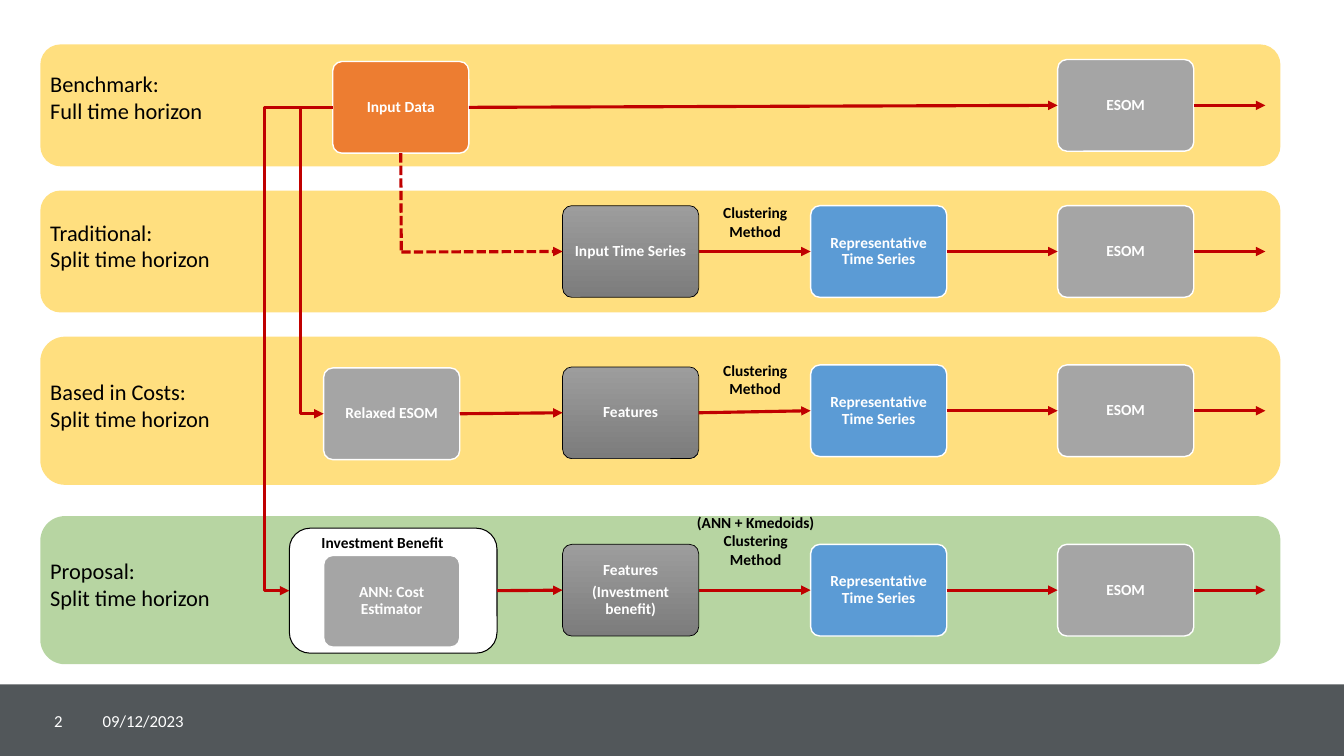
"""Build a slide comparing four ways to handle the time horizon of an ESOM."""
import pptx
import pptx.util
import pptx.dml.color
import pptx.enum.dml
import pptx.enum.shapes
import pptx.enum.text
import pptx.oxml.ns
import lxml.etree

Inches, Pt = pptx.util.Inches, pptx.util.Pt
SHAPE = pptx.enum.shapes.MSO_SHAPE
CONNECTOR = pptx.enum.shapes.MSO_CONNECTOR
ALIGN = pptx.enum.text.PP_ALIGN
ANCHOR = pptx.enum.text.MSO_ANCHOR
qn = pptx.oxml.ns.qn


def paint(fill, color):
    """Give a shape, line or font fill one solid colour."""
    fill.solid()
    fill.fore_color.rgb = pptx.dml.color.RGBColor.from_string(color)


def write(box, lines, size, color, bold=False, align=ALIGN.LEFT, anchor=ANCHOR.TOP,
          margins=(0.1, 0.05), spacing=1.0, after=0):
    """Fill a shape with formatted paragraphs."""
    side, edge = map(Inches, margins)
    frame = box.text_frame
    frame_format = {"word_wrap": True, "vertical_anchor": anchor, "margin_left": side,
                    "margin_right": side, "margin_top": edge, "margin_bottom": edge}
    for name, value in frame_format.items():
        setattr(frame, name, value)
    for index, line in enumerate(lines):
        para = frame.add_paragraph() if index else frame.paragraphs[0]
        para_format = {"alignment": align, "line_spacing": spacing, "space_after": Pt(after)}
        for name, value in para_format.items():
            setattr(para, name, value)
        span = para.add_run()
        span.text = line
        for name, value in {"name": "Calibri", "size": Pt(size), "bold": bold}.items():
            setattr(span.font, name, value)
        paint(span.font.fill, color)


deck = pptx.Presentation()
deck.slide_width, deck.slide_height = Inches(13.33), Inches(7.5)
page = deck.slides.add_slide(deck.slide_layouts[6])
shapes = page.shapes

footer = shapes.add_shape(SHAPE.RECTANGLE, 0, Inches(6.79), deck.slide_width, Inches(0.71))
footer.shadow.inherit = False
paint(footer.fill, "52575A")
footer.line.fill.background()
for left, width, text, align in [(0.92, 1.06, "09/12/2023", ALIGN.LEFT),
                                 (0.19, 0.53, "2", ALIGN.RIGHT)]:
    box = shapes.add_textbox(Inches(left), Inches(6.95), Inches(width), Inches(0.4))
    write(box, [text], 12, "FFFFFF", align=align, anchor=ANCHOR.MIDDLE)

bands = [
    (0.44, 1.21, "FFC000", 0.65, "Benchmark:", "Full time horizon"),
    (1.89, 1.21, "FFC000", 2.12, "Traditional:", "Split time horizon"),
    (3.34, 1.47, "FFC000", 3.7, "Based in Costs:", "Split time horizon"),
    (5.12, 1.47, "70AD47", 5.48, "Proposal:", "Split time horizon"),
]
for top, height, color, label_top, *label in bands:
    band = shapes.add_shape(SHAPE.ROUNDED_RECTANGLE, Inches(0.4), Inches(top),
                            Inches(12.3), Inches(height))
    band.shadow.inherit = False
    paint(band.fill, color)
    band.line.fill.background()
    tint = band.fill._xPr.find(".//" + qn("a:srgbClr"))
    lxml.etree.SubElement(tint, qn("a:alpha"), val="50000")
    box = shapes.add_textbox(Inches(0.4), Inches(label_top), Inches(1.96), Inches(0.64))
    write(box, label, 16, "000000")

benefit = shapes.add_shape(SHAPE.ROUNDED_RECTANGLE, Inches(2.87), Inches(5.24),
                           Inches(2.06), Inches(1.24))
benefit.shadow.inherit = False
paint(benefit.fill, "FFFFFF")
paint(benefit.line.fill, "000000")
benefit.line.width = Pt(0.75)

GREY, BLUE, ORANGE, GRADIENT = "A5A5A5", "5B9BD5", "ED7D31", ("9D9D9D", "7C7C7C")
steps = [
    ("input", 3.3, 0.61, ORANGE, ["Input Data"]),
    ("relaxed", 3.21, 3.65, GREY, ["Relaxed ESOM"]),
    ("estimator", 3.21, 5.51, GREY, ["ANN: Cost Estimator"]),
    ("features 1", 5.58, 2.04, GRADIENT, ["Input Time Series"]),
    ("features 2", 5.58, 3.64, GRADIENT, ["Features"]),
    ("features 3", 5.58, 5.4, GRADIENT, ["Features", "(Investment benefit)"]),
]
for row, top in enumerate([0.59, 2.04, 3.62, 5.4]):
    steps.append((f"esom {row}", 10.49, top, GREY, ["ESOM"]))
    if row:
        steps.append((f"series {row}", 8.04, top, BLUE, ["Representative Time Series"]))

boxes = {"benefit": benefit}
for name, left, top, color, lines in steps:
    box = shapes.add_shape(SHAPE.ROUNDED_RECTANGLE, Inches(left), Inches(top),
                           Inches(1.35), Inches(0.91))
    box.shadow.inherit = False
    box.adjustments[0] = 0.1
    if color == GRADIENT:
        box.fill.gradient()
        box.fill.gradient_angle = 270
        for stop, shade in zip(box.fill.gradient_stops, color):
            stop.color.rgb = pptx.dml.color.RGBColor.from_string(shade)
    else:
        paint(box.fill, color)
    paint(box.line.fill, "000000" if color == GRADIENT else "FFFFFF")
    box.line.width = Pt(0.5 if color == GRADIENT else 1)
    write(box, lines, 11, "FFFFFF", True, ALIGN.CENTER, ANCHOR.MIDDLE, (0.07, 0.07), 0.9, 4)
    boxes[name] = box

captions = [
    (3.09, 5.24, 1.61, ["Investment Benefit"]),
    (6.7, 5.04, 1.59, ["(ANN + Kmedoids)", "Clustering", "Method"]),
    (7, 3.53, 0.98, ["Clustering", "Method"]),
    (7, 1.97, 0.98, ["Clustering", "Method"]),
]
for left, top, width, lines in captions:
    box = shapes.add_textbox(Inches(left), Inches(top), Inches(width), Inches(0.33))
    align = ALIGN.CENTER if len(lines) > 1 else ALIGN.LEFT
    write(box, lines, 11, "000000", True, align)

TOP, LEFT, BOTTOM, RIGHT = range(4)
corner = (3.98, 2.5)
links = [
    ("input", RIGHT, "esom 0", None),
    ("input", BOTTOM, corner, None),
    (corner, None, "features 1", None),
    ("relaxed", RIGHT, "features 2", None),
    ("benefit", RIGHT, "features 3", None),
    ("input", LEFT, "relaxed", 2.98),
    ("input", LEFT, "benefit", 2.62),
]
for row in range(4):
    esom = boxes[f"esom {row}"]
    links.append((f"esom {row}", RIGHT, (12.55, (esom.top + esom.height / 2) / Inches(1)), None))
    if row:
        links += [(f"features {row}", RIGHT, f"series {row}", None),
                  (f"series {row}", RIGHT, f"esom {row}", None)]

for source, side, target, bend in links:
    kind = CONNECTOR.ELBOW if bend else CONNECTOR.STRAIGHT
    start = source if source == corner else (0, 0)
    end = target if isinstance(target, tuple) else (0, 0)
    link = shapes.add_connector(kind, *map(Inches, start + end))
    if source != corner:
        link.begin_connect(boxes[source], side)
    if not isinstance(target, tuple):
        link.end_connect(boxes[target], LEFT)
    paint(link.line.fill, "C00000")
    link.line.width = Pt(2.25)
    if corner in (source, target):
        link.line.dash_style = pptx.enum.dml.MSO_LINE.SQUARE_DOT
    if target != corner:
        lxml.etree.SubElement(link.line._get_or_add_ln(), qn("a:tailEnd"), type="triangle")
    properties = link._element.spPr
    lxml.etree.SubElement(properties, qn("a:effectLst"))
    if bend:
        ratio = (link.begin_x - Inches(bend)) / (link.begin_x - link.end_x)
        guides = properties.find(".//" + qn("a:avLst"))
        lxml.etree.SubElement(guides, qn("a:gd"), name="adj1", fmla=f"val {ratio * 100000:.0f}")

deck.save("out.pptx")
